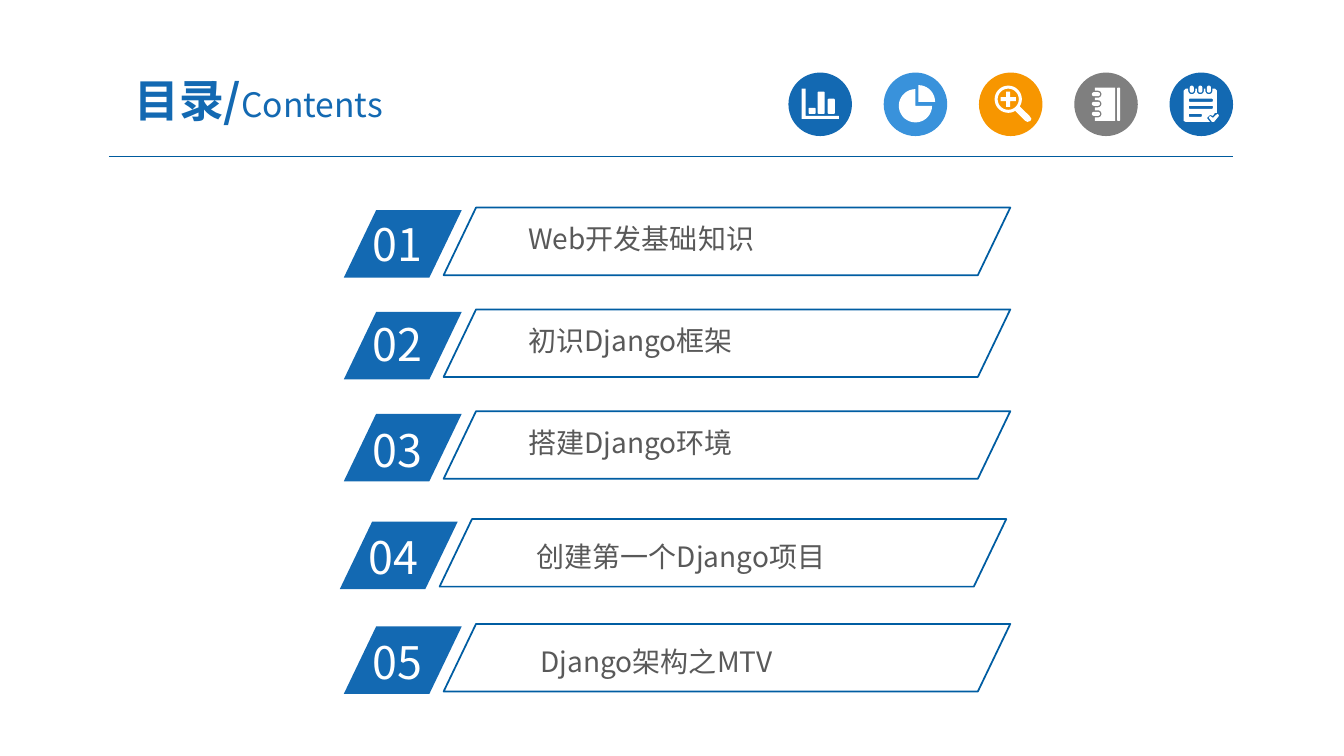
from dataclasses import dataclass
from math import cos, radians, sin

from lxml import etree
from pptx import Presentation
from pptx.dml.color import RGBColor
from pptx.enum.shapes import MSO_CONNECTOR, MSO_SHAPE
from pptx.enum.text import MSO_ANCHOR, MSO_AUTO_SIZE, PP_ALIGN
from pptx.oxml.ns import qn
from pptx.util import Inches, Pt

OVAL = MSO_SHAPE.OVAL
PARALLELOGRAM = MSO_SHAPE.PARALLELOGRAM
STRAIGHT = MSO_CONNECTOR.STRAIGHT
MIDDLE = MSO_ANCHOR.MIDDLE
FIT_SHAPE = MSO_AUTO_SIZE.SHAPE_TO_FIT_TEXT
FIT_NONE = MSO_AUTO_SIZE.NONE
CENTER = PP_ALIGN.CENTER

FONT = "Noto Sans CJK SC"
COLORS = {
    "blue": "1369B2", "sky": "3992DB", "orange": "F79600", "gray": "7F7F7F",
    "rule": "005B9E", "outline": "005DA2", "text": "595959", "white": "FFFFFF",
}
SLANT = 0.48
ICON_LEFT, ICON_TOP, ICON_SIZE, ICON_STEP = 7.82, 0.72, 0.63, 0.945

Contour = list[tuple[float, float]]


@dataclass
class Icon:
    color: str
    contours: list[Contour]


@dataclass
class Entry:
    number: str
    title: str
    left: float
    top: float
    number_dy: float
    title_dx: float
    title_dy: float


def rgb(name: str) -> RGBColor:
    return RGBColor.from_string(COLORS[name])


def arc(cx: float, cy: float, radius: float, start: float, end: float) -> Contour:
    steps = max(3, int(abs(end - start) / 10))
    angles = [radians(start + (end - start) * i / steps) for i in range(steps + 1)]
    return [(cx + radius * cos(a), cy + radius * sin(a)) for a in angles]


def box(left: float, top: float, right: float, bottom: float, c: float = 0.01) -> Contour:
    return (arc(left + c, top + c, c, 180, 270) + arc(right - c, top + c, c, 270, 360)
            + arc(right - c, bottom - c, c, 0, 90) + arc(left + c, bottom - c, c, 90, 180))


def bar_chart() -> list[Contour]:
    axes = [(7.95, 0.88), (7.99, 0.88), (7.99, 1.15), (8.32, 1.15), (8.32, 1.18), (7.95, 1.18)]
    bars = [(8.02, 1.07), (8.11, 0.91), (8.21, 0.98)]
    return [axes] + [box(x, y, x + 0.07, 1.13) for x, y in bars]


def pie_chart() -> list[Contour]:
    return [[(9.08, 1.05)] + arc(9.08, 1.05, 0.165, 0, 270),
            [(9.11, 1.01)] + arc(9.11, 1.01, 0.165, 270, 360)]


def magnifier() -> list[Contour]:
    handle = [(10.21, 1.15), (10.23, 1.18), (10.22, 1.2), (10.19, 1.21), (10.17, 1.2)]
    x, y, a, b = 10, 0.985, 0.02, 0.075
    plus = [(x - a, y - b), (x + a, y - b), (x + a, y - a), (x + b, y - a),
            (x + b, y + a), (x + a, y + a), (x + a, y + b), (x - a, y + b),
            (x - a, y + a), (x - b, y + a), (x - b, y - a), (x - a, y - a)]
    return [arc(x, y, 0.135, 59, 392) + handle, arc(x, y, 0.105, 0, 360), plus]


def notebook() -> list[Contour]:
    rings = [1.13, 1.03, 0.935]
    cover = [(11.06, 0.87), (11.06, 1.2), (10.86, 1.2)]
    for y in rings:
        cover += [(10.86, y + 0.035), *arc(10.89, y, 0.035, 90, -90), (10.86, y - 0.035)]
    cover.append((10.86, 0.87))
    return [cover, box(11.08, 0.87, 11.11, 1.2)] + [
        box(10.83, y - 0.02, 10.91, y + 0.02, 0.02) for y in rings]


def checklist() -> list[Contour]:
    rings = [11.82, 11.905, 11.99]
    page = [(11.74, 0.9), (11.76, 0.88)]
    for x in rings:
        page += [(x - 0.035, 0.88), *arc(x, 0.9, 0.035, 180, 0), (x + 0.035, 0.88)]
    page += [(12.05, 0.88), (12.07, 0.9), (12.07, 1.12), (12.05, 1.12), (12.03, 1.15),
             (12, 1.14), (11.97, 1.17), (12, 1.21), (11.76, 1.21), (11.74, 1.2)]
    check = [(11.99, 1.17), (12, 1.15), (12.03, 1.17), (12.06, 1.14), (12.08, 1.13),
             (12.09, 1.15), (12.04, 1.21), (12.02, 1.21)]
    lines = [(0.98, 12.03), (1.05, 12.03), (1.13, 11.92)]
    return ([page, check] + [box(11.79, y, right, y + 0.03) for y, right in lines]
            + [box(x - 0.02, 0.85, x + 0.02, 0.92, 0.02) for x in rings])


def paint(sp, color: str) -> None:
    sp.shadow.inherit = False
    sp.fill.solid()
    sp.fill.fore_color.rgb = rgb(color)
    sp.line.fill.background()


def add_run(p, text: str, size: int, color: str, bold: bool = False) -> None:
    r = p.add_run()
    r.text = text
    r.font.size = Pt(size)
    r.font.bold = bold
    r.font.color.rgb = rgb(color)
    r.font.name = FONT
    etree.SubElement(r.font._element, qn("a:ea"), typeface=FONT)


def set_insets(tf, x: float, y: float) -> None:
    tf.margin_left = tf.margin_right = Inches(x)
    tf.margin_top = tf.margin_bottom = Inches(y)


def add_title(s) -> None:
    sp = s.shapes.title
    sp.left, sp.top, sp.width, sp.height = map(Inches, (0.92, 0.63, 3.29, 0.72))
    tf = sp.text_frame
    tf.word_wrap = True
    tf.auto_size = FIT_NONE
    tf.vertical_anchor = MIDDLE
    set_insets(tf, 0.13, 0.07)
    p = tf.paragraphs[0]
    p.alignment = CENTER
    add_run(p, "目录/", 32, "blue", True)
    add_run(p, "Contents", 24, "blue")


def add_rule(s) -> None:
    line = s.shapes.add_connector(STRAIGHT, Inches(1.08), Inches(1.55), Inches(12.23), Inches(1.55))
    line.line.color.rgb = rgb("rule")
    line.line.width = Pt(0.75)
    etree.SubElement(line._element.spPr, qn("a:effectLst"))


def add_icon(s, icon: Icon, left: float) -> None:
    disc = s.shapes.add_shape(OVAL, Inches(left), Inches(ICON_TOP), Inches(ICON_SIZE), Inches(ICON_SIZE))
    paint(disc, icon.color)
    contours = [[(Inches(x), Inches(y)) for x, y in c] for c in icon.contours]
    builder = s.shapes.build_freeform(*contours[0][0])
    builder.add_line_segments(contours[0][1:])
    for contour in contours[1:]:
        builder.move_to(*contour[0])
        builder.add_line_segments(contour[1:])
    paint(builder.convert_to_shape(), "white")


def add_slanted(s, left: float, top: float, width: float):
    sp = s.shapes.add_shape(PARALLELOGRAM, Inches(left), Inches(top), Inches(width), Inches(0.67))
    sp.adjustments[0] = SLANT
    sp.shadow.inherit = False
    return sp


def add_label(s, left: float, top: float, width: float, height: float):
    tf = s.shapes.add_textbox(Inches(left), Inches(top), Inches(width), Inches(height)).text_frame
    tf.word_wrap = True
    tf.auto_size = FIT_SHAPE
    return tf


def add_entry(s, e: Entry) -> None:
    paint(add_slanted(s, e.left, e.top + 0.025, 1.17), "blue")
    tf = add_label(s, e.left + 0.19, e.top + e.number_dy, 1.12, 0.64)
    add_run(tf.paragraphs[0], e.number, 32, "white")
    tf = add_label(s, e.left + e.title_dx, e.top + e.title_dy, 4.12, 0.41)
    set_insets(tf, 0.07, 0.04)
    add_run(tf.paragraphs[0], e.title, 20, "text")
    frame = add_slanted(s, e.left + 0.99, e.top, 5.62)
    frame.fill.background()
    frame.line.color.rgb = rgb("outline")
    frame.line.width = Pt(1.25)


ICONS = [Icon("blue", bar_chart()), Icon("sky", pie_chart()), Icon("orange", magnifier()),
         Icon("gray", notebook()), Icon("blue", checklist())]
ENTRIES = [
    Entry("01", "Web开发基础知识", 3.41, 2.06, 0.04, 1.76, 0.1),
    Entry("02", "初识Django框架", 3.41, 3.07, 0.02, 1.76, 0.1),
    Entry("03", "搭建Django环境", 3.41, 4.08, 0.06, 1.76, 0.1),
    Entry("04", "创建第一个Django项目", 3.37, 5.15, 0.06, 1.88, 0.16),
    Entry("05", "Django架构之MTV", 3.41, 6.19, 0.06, 1.88, 0.16),
]


def main() -> None:
    prs = Presentation()
    prs.slide_width, prs.slide_height = Inches(13.33), Inches(7.5)
    s = prs.slides.add_slide(prs.slide_layouts[5])
    add_title(s)
    add_rule(s)
    for i, icon in enumerate(ICONS):
        add_icon(s, icon, ICON_LEFT + i * ICON_STEP)
    for entry in ENTRIES:
        add_entry(s, entry)
    prs.save("out.pptx")


if __name__ == "__main__":
    main()
